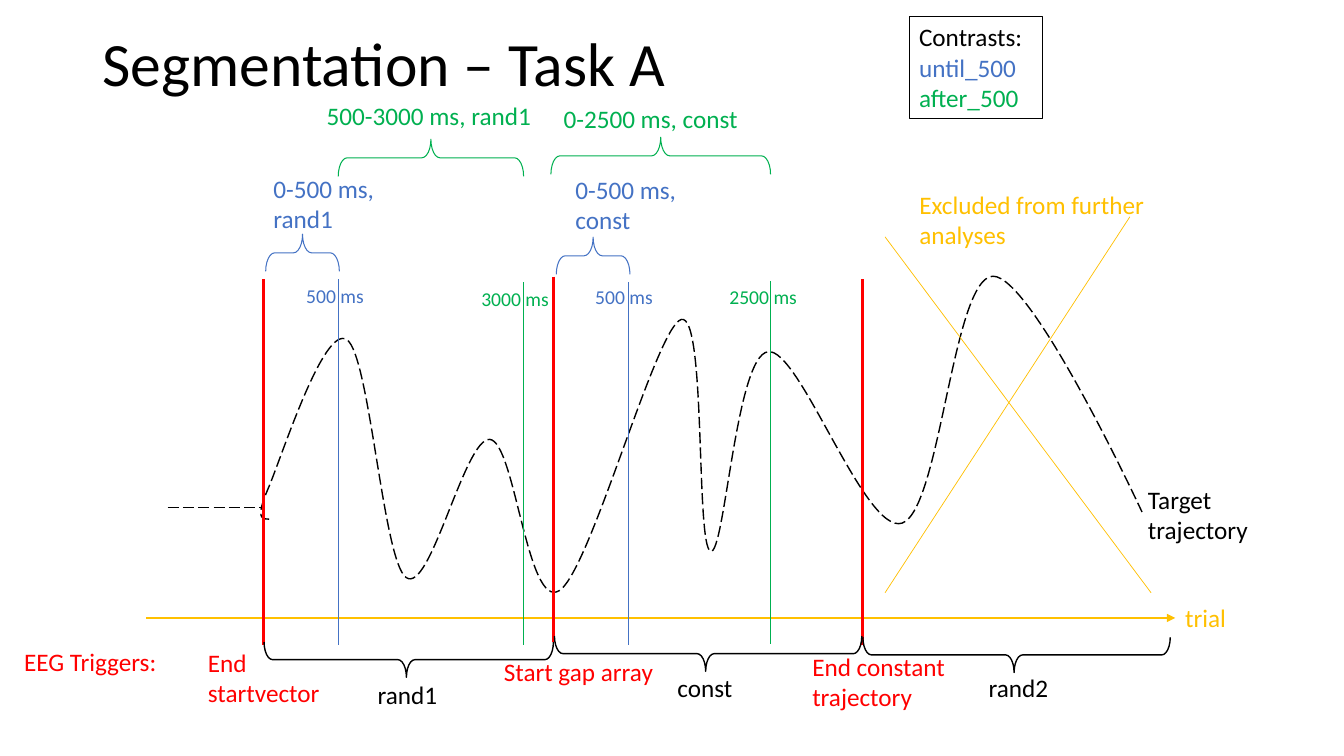
"""Build the slide that shows how the trials of task A are segmented."""
from typing import NamedTuple

from lxml import etree
from pptx import Presentation
from pptx.dml.color import RGBColor
from pptx.enum.dml import MSO_LINE
from pptx.enum.shapes import MSO_CONNECTOR, MSO_SHAPE
from pptx.enum.text import MSO_ANCHOR, MSO_AUTO_SIZE
from pptx.oxml.ns import qn
from pptx.util import Pt

BLACK = RGBColor(0x00, 0x00, 0x00)
RED = RGBColor(0xFF, 0x00, 0x00)
BLUE = RGBColor(0x44, 0x72, 0xC4)
GREEN = RGBColor(0x00, 0xB0, 0x50)
GOLD = RGBColor(0xFF, 0xC0, 0x00)
STRAIGHT = MSO_CONNECTOR.STRAIGHT
BRACE = MSO_SHAPE.RIGHT_BRACE
LONG_DASH = MSO_LINE.LONG_DASH
MIDDLE = MSO_ANCHOR.MIDDLE
GROW = MSO_AUTO_SIZE.SHAPE_TO_FIT_TEXT
FIXED = MSO_AUTO_SIZE.NONE
FONT = "Calibri"


class Label(NamedTuple):
    left: float
    top: float
    width: float
    height: float
    lines: tuple[str, ...]
    colors: tuple[RGBColor, ...]
    size: float = 18


class Line(NamedTuple):
    x1: float
    y1: float
    x2: float
    y2: float
    color: RGBColor
    weight: float
    dashed: bool = False
    arrow: bool = False


class Brace(NamedTuple):
    left: float
    right: float
    middle: float
    color: RGBColor
    weight: float = 0.75
    depth: float = 26.6
    rotation: float = 270
    tip: float = 0.5


TITLE = Label(66.2, -5, 828, 104.4, ("Segmentation – Task A",), (BLACK,), 44)
CONTRASTS = Label(649.4, 11.9, 95.5, 72.7, ("Contrasts:", "until_500", "after_500"),
                  (BLACK, BLUE, GREEN))

LABELS = (
    Label(839.5, 427, 75.6, 29.1, ("trial",), (GOLD,)),
    Label(141.4, 458.6, 140.4, 50.9, ("End", "startvector"), (RED, RED)),
    Label(812.9, 342.3, 140.4, 50.9, ("Target", "trajectory"), (BLACK, BLACK)),
    Label(573.1, 461.5, 140.4, 50.9, ("End constant trajectory",), (RED,)),
    Label(10.1, 457.9, 140.4, 29.1, ("EEG Triggers:",), (RED,)),
    Label(352.8, 465.1, 140.4, 29.1, ("Start gap array",), (RED,)),
    Label(188.2, 120.2, 225.4, 50.9, ("0-500 ms,", "rand1"), (BLUE, BLUE)),
    Label(403.9, 121, 225.4, 50.9, ("0-500 ms,", "const"), (BLUE, BLUE)),
    Label(649.6, 131.8, 225.4, 50.9, ("Excluded from further analyses",), (GOLD,)),
    Label(262.6, 481.7, 140.4, 29.1, ("rand1",), (BLACK,)),
    Label(476.8, 476.6, 140.4, 29.1, ("const",), (BLACK,)),
    Label(699.1, 476.6, 140.4, 29.1, ("rand2",), (BLACK,)),
    Label(211.7, 199.4, 225.4, 24.2, ("500 ms",), (BLUE,), 14),
    Label(336.7, 201.6, 225.4, 24.2, ("3000 ms",), (GREEN,), 14),
    Label(418.1, 199.7, 225.4, 24.2, ("500 ms",), (BLUE,), 14),
    Label(513.9, 200.2, 225.4, 24.2, ("2500 ms",), (GREEN,), 14),
    Label(226.3, 68.4, 295.2, 29.1, ("500-3000 ms, rand1",), (GREEN,)),
    Label(395.5, 70.1, 295.2, 29.1, ("0-2500 ms, const",), (GREEN,)),
)

LINES = (
    Line(104.4, 441.4, 839.5, 441.4, GOLD, 1.5, arrow=True),
    Line(119.8, 362.5, 186.5, 362.5, BLACK, 1, dashed=True),
    Line(188.2, 199.4, 188.2, 460.8, RED, 2.25),
    Line(395.3, 197.6, 395.3, 458.6, RED, 2.25),
    Line(615.9, 199.4, 615.9, 460.8, RED, 2.25),
    Line(241.9, 199.4, 241.9, 460.8, BLUE, 0.75),
    Line(448.9, 201.6, 448.9, 460.8, BLUE, 0.75),
    Line(374.1, 201.6, 374.1, 460.8, GREEN, 0.75),
    Line(550.1, 200.9, 550.1, 460.1, GREEN, 0.75),
    Line(632.2, 169.2, 822.2, 423.4, GOLD, 0.5),
    Line(807.1, 154.8, 632.2, 423.4, GOLD, 0.5),
)

BRACES = (
    Brace(189.8, 242.4, 180.6, BLUE),
    Brace(397.4, 450, 182.7, BLUE),
    Brace(241.6, 374, 112.7, GREEN),
    Brace(393.5, 550.4, 111.3, GREEN),
    Brace(188.6, 395.3, 471.2, BLACK, 1, 25.2, 90, 0.508),
    Brace(396, 615.6, 466.9, BLACK, 1, 25.2, 90, 0.508),
    Brace(616.3, 835.9, 467.8, BLACK, 1, 25.2, 90, 0.508),
)

TRAJECTORY_CORNERS = ((186.5, 197.4), (815.1, 422.7))
TRAJECTORY_START = (192.2, 370.8)
TRAJECTORY_CURVES = (
    ((187.2, 370.8), (182.2, 370.8), (191.5, 349.2)),
    ((200.9, 327.6), (231.1, 231.8), (247.7, 242.6)),
    ((264.2, 253.4), (273.6, 401), (290.2, 412.6)),
    ((307.4, 424.8), (331.9, 312.5), (349.9, 313.9)),
    ((367.9, 315.4), (376.6, 436.3), (399.6, 421.9)),
    ((421.9, 407.5), (468.7, 233.3), (486.7, 228.2)),
    ((504.7, 223.9), (496.8, 389.5), (507.6, 393.8)),
    ((517.7, 397.4), (525.6, 254.2), (548.6, 251.3)),
    ((571, 247.7), (617.8, 382.3), (644.4, 373.7)),
    ((671.8, 364.3), (680.4, 198.7), (709.2, 197.3)),
    ((737.3, 196.6), (815.8, 365.8), (815.8, 365.8)),
)


def add_label(slide, label: Label):
    """Add a text box with one paragraph per line of the label."""
    s = slide.shapes.add_textbox(*map(Pt, label[:4]))
    tf = s.text_frame
    tf.word_wrap = True
    tf.auto_size = GROW
    for i, (text, color) in enumerate(zip(label.lines, label.colors)):
        p = tf.add_paragraph() if i else tf.paragraphs[0]
        p.text = text
        p.font.name = FONT
        p.font.size = Pt(label.size)
        p.font.color.rgb = color
    return s


def add_line(slide, line: Line) -> None:
    """Add a straight line, dashed or with an arrowhead where asked."""
    s = slide.shapes.add_connector(STRAIGHT, *map(Pt, line[:4]))
    s.line.color.rgb = line.color
    s.line.width = Pt(line.weight)
    if line.dashed:
        s.line.dash_style = LONG_DASH
    sp_pr = s._element.spPr
    if line.arrow:
        etree.SubElement(sp_pr.find(qn("a:ln")), qn("a:tailEnd"), type="triangle")
    etree.SubElement(sp_pr, qn("a:effectLst"))


def add_brace(slide, brace: Brace) -> None:
    """Add a brace turned to span a horizontal interval."""
    span = brace.right - brace.left
    left = (brace.left + brace.right - brace.depth) / 2
    s = slide.shapes.add_shape(BRACE, Pt(left), Pt(brace.middle - span / 2),
                               Pt(brace.depth), Pt(span))
    s.rotation = brace.rotation
    s.adjustments[0] = 0.242
    s.adjustments[1] = brace.tip
    s.shadow.inherit = False
    s.fill.background()
    s.line.color.rgb = brace.color
    s.line.width = Pt(brace.weight)


def add_trajectory(slide) -> None:
    """Draw the dashed target trajectory as one chain of cubic curves."""
    start, end = (tuple(map(Pt, corner)) for corner in TRAJECTORY_CORNERS)
    builder = slide.shapes.build_freeform(*start)
    builder.add_line_segments([end], close=False)
    s = builder.convert_to_shape()
    outline = s._element.find(".//" + qn("a:path"))
    for step in list(outline):
        outline.remove(step)
    steps = [("a:moveTo", (TRAJECTORY_START,))]
    steps += [("a:cubicBezTo", curve) for curve in TRAJECTORY_CURVES]
    for tag, points in steps:
        step = etree.SubElement(outline, qn(tag))
        for x, y in points:
            etree.SubElement(step, qn("a:pt"), x=str(Pt(x) - start[0]),
                             y=str(Pt(y) - start[1]))
    s.shadow.inherit = False
    s.fill.background()
    s.line.color.rgb = BLACK
    s.line.width = Pt(1)
    s.line.dash_style = LONG_DASH


def main() -> None:
    """Build and save the slide."""
    prs = Presentation()
    prs.slide_width, prs.slide_height = Pt(960), Pt(540)
    slide = prs.slides.add_slide(prs.slide_layouts[6])
    title = add_label(slide, TITLE).text_frame
    title.auto_size = FIXED
    title.vertical_anchor = MIDDLE
    title.paragraphs[0].line_spacing = 0.9
    add_trajectory(slide)
    for line in LINES:
        add_line(slide, line)
    for brace in BRACES:
        add_brace(slide, brace)
    for label in LABELS:
        add_label(slide, label)
    box = add_label(slide, CONTRASTS)
    box.line.color.rgb = BLACK
    box.line.width = Pt(0.75)
    prs.save("out.pptx")


if __name__ == "__main__":
    main()
